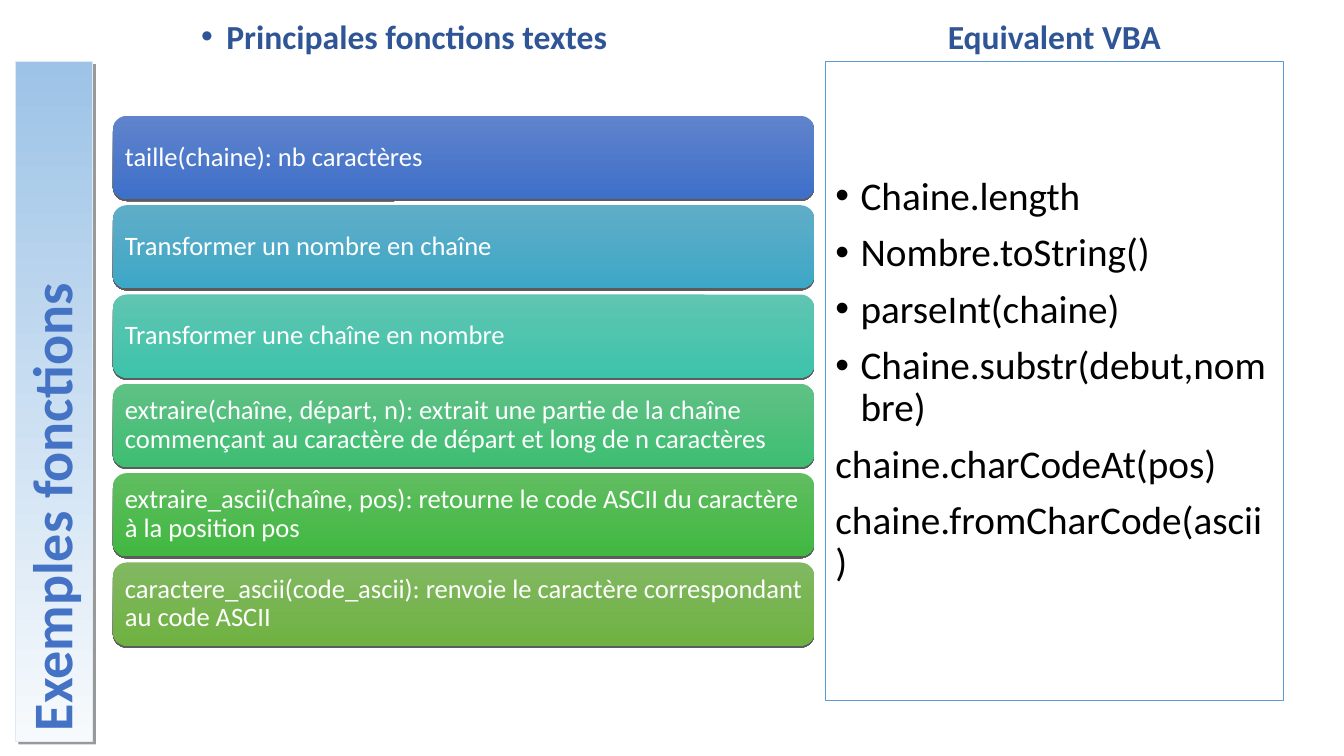
from dataclasses import dataclass
from typing import Any, Optional

from lxml.etree import SubElement
from pptx import Presentation
from pptx.dml.color import RGBColor
from pptx.enum.shapes import MSO_SHAPE
from pptx.enum.text import MSO_ANCHOR, PP_ALIGN
from pptx.oxml.ns import qn
from pptx.util import Pt

COLORS = {
    "black": "000000",
    "white": "FFFFFF",
    "title": "4472C4",
    "heading": "2F5597",
    "band_start": "F7FAFD",
    "band_end": "9DC3E6",
    "band_line": "DEEBF7",
    "box_line": "5B9BD5",
}


@dataclass
class Card:
    text: str
    start: str
    end: str


@dataclass
class Line:
    text: str
    bullet: bool = False


@dataclass
class Style:
    size: float
    color: str
    bold: bool = False
    align: PP_ALIGN = PP_ALIGN.LEFT
    anchor: MSO_ANCHOR = MSO_ANCHOR.MIDDLE
    before: float = 0
    inset_x: float = 7.2
    inset_y: float = 3.6


CARDS = [
    Card("taille(chaine): nb caractères", "6083CB", "3E70CA"),
    Card("Transformer un nombre en chaîne", "60ADC8", "3DA7C7"),
    Card("Transformer une chaîne en nombre", "60C5B1", "3DC3AB"),
    Card("extraire(chaîne, départ, n): extrait une partie de la chaîne commençant "
         "au caractère de départ et long de n caractères", "5FC184", "3EBE73"),
    Card("extraire_ascii(chaîne, pos): retourne le code ASCII du caractère "
         "à la position pos", "60BD60", "40B841"),
    Card("caractere_ascii(code_ascii): renvoie le caractère correspondant "
         "au code ASCII", "81B861", "6FB242"),
]
CODE = [
    Line("Chaine.length", True),
    Line("Nombre.toString()", True),
    Line("parseInt(chaine)", True),
    Line("Chaine.substr(debut,nombre)", True),
    Line("chaine.charCodeAt(pos)"),
    Line("chaine.fromCharCode(ascii)"),
]
CARD_TOP, CARD_HEIGHT, CARD_PITCH = 82.8, 59.3, 63.8
LEFT, CARD_WIDTH = 80.64, 501.1
BOX_LEFT, BOX_WIDTH = 589.7, 326.9


def rgb(name: str) -> RGBColor:
    return RGBColor.from_string(COLORS.get(name, name))


def apply(target: Any, values: dict) -> None:
    for key, value in values.items():
        setattr(target, key, value)


def add_bullet(p: Any, color: str) -> None:
    pPr = p._p.get_or_add_pPr()
    apply_indent = {"marL": Pt(18), "indent": Pt(-18)}
    for key, value in apply_indent.items():
        pPr.set(key, str(value))
    clr = SubElement(pPr, qn("a:buClr"))
    SubElement(clr, qn("a:srgbClr"), val=COLORS[color])
    SubElement(pPr, qn("a:buFont"), typeface="Arial")
    SubElement(pPr, qn("a:buChar"), char="•")


def write(sp: Any, lines: list[Line], style: Style) -> None:
    tf = sp.text_frame
    apply(tf, {
        "word_wrap": True,
        "vertical_anchor": style.anchor,
        "margin_left": Pt(style.inset_x),
        "margin_right": Pt(style.inset_x),
        "margin_top": Pt(style.inset_y),
        "margin_bottom": Pt(style.inset_y),
    })
    for i, line in enumerate(lines):
        p = tf.add_paragraph() if i else tf.paragraphs[0]
        if line.bullet:
            add_bullet(p, style.color)
        apply(p, {
            "alignment": style.align,
            "line_spacing": 0.9,
            "space_before": Pt(style.before if i else 0),
        })
        r = p.add_run()
        r.text = line.text
        apply(r.font, {"name": "Calibri", "size": Pt(style.size), "bold": style.bold})
        r.font.color.rgb = rgb(style.color)


def add_box(s: Any, kind: MSO_SHAPE, left: float, top: float, width: float,
            height: float, line: Optional[str] = None) -> Any:
    sp = s.shapes.add_shape(kind, Pt(left), Pt(top), Pt(width), Pt(height))
    sp.shadow.inherit = False
    sp.fill.background()
    if line:
        sp.line.color.rgb = rgb(line)
        sp.line.width = Pt(0.75)
    else:
        sp.line.fill.background()
    return sp


def add_gradient(sp: Any, start: str, end: str, angle: float) -> None:
    sp.fill.gradient()
    sp.fill.gradient_angle = angle
    for stop, color in zip(sp.fill.gradient_stops, (start, end)):
        stop.color.rgb = rgb(color)


def add_shadow(sp: Any, alpha: int, distance: float, angle: int) -> None:
    effects = sp._element.spPr.find(qn("a:effectLst"))
    shadow = SubElement(effects, qn("a:outerShdw"), blurRad="0", dist=str(Pt(distance)),
                        dir=str(angle * 60000), algn="ctr", rotWithShape="0")
    clr = SubElement(shadow, qn("a:srgbClr"), val=COLORS["black"])
    SubElement(clr, qn("a:alpha"), val=str(alpha * 1000))


def add_heading(s: Any, left: float, width: float, line: Line, align: PP_ALIGN) -> None:
    sp = s.shapes.add_textbox(Pt(left), Pt(7.2), Pt(width), Pt(36.7))
    write(sp, [line], Style(24, "heading", True, align, MSO_ANCHOR.BOTTOM))


def main() -> None:
    prs = Presentation()
    apply(prs, {"slide_width": Pt(960), "slide_height": Pt(540)})
    s = prs.slides.add_slide(prs.slide_layouts[6])

    band = add_box(s, MSO_SHAPE.RECTANGLE, -203.9, 259.3, 485.3, 54.7, "band_line")
    band.rotation = 270
    add_gradient(band, "band_start", "band_end", 0)
    add_shadow(band, 40, 3, 45)
    write(band, [Line("Exemples fonctions")], Style(40, "title", True))

    heading = Line("Principales fonctions textes", True)
    add_heading(s, LEFT + 56, 413.3 - 56, heading, PP_ALIGN.LEFT)

    for i, card in enumerate(CARDS):
        sp = add_box(s, MSO_SHAPE.ROUNDED_RECTANGLE, LEFT, CARD_TOP + i * CARD_PITCH,
                     CARD_WIDTH, CARD_HEIGHT)
        add_gradient(sp, card.start, card.end, 270)
        add_shadow(sp, 63, 1.5, 90)
        write(sp, [Line(card.text)], Style(19, "white", inset_x=5.76, inset_y=5.76))

    add_heading(s, BOX_LEFT, BOX_WIDTH, Line("Equivalent VBA"), PP_ALIGN.CENTER)
    box = add_box(s, MSO_SHAPE.RECTANGLE, BOX_LEFT, 43.9, BOX_WIDTH, 456.5, "box_line")
    write(box, CODE, Style(28, "black", before=10))

    prs.save("out.pptx")


if __name__ == "__main__":
    main()
